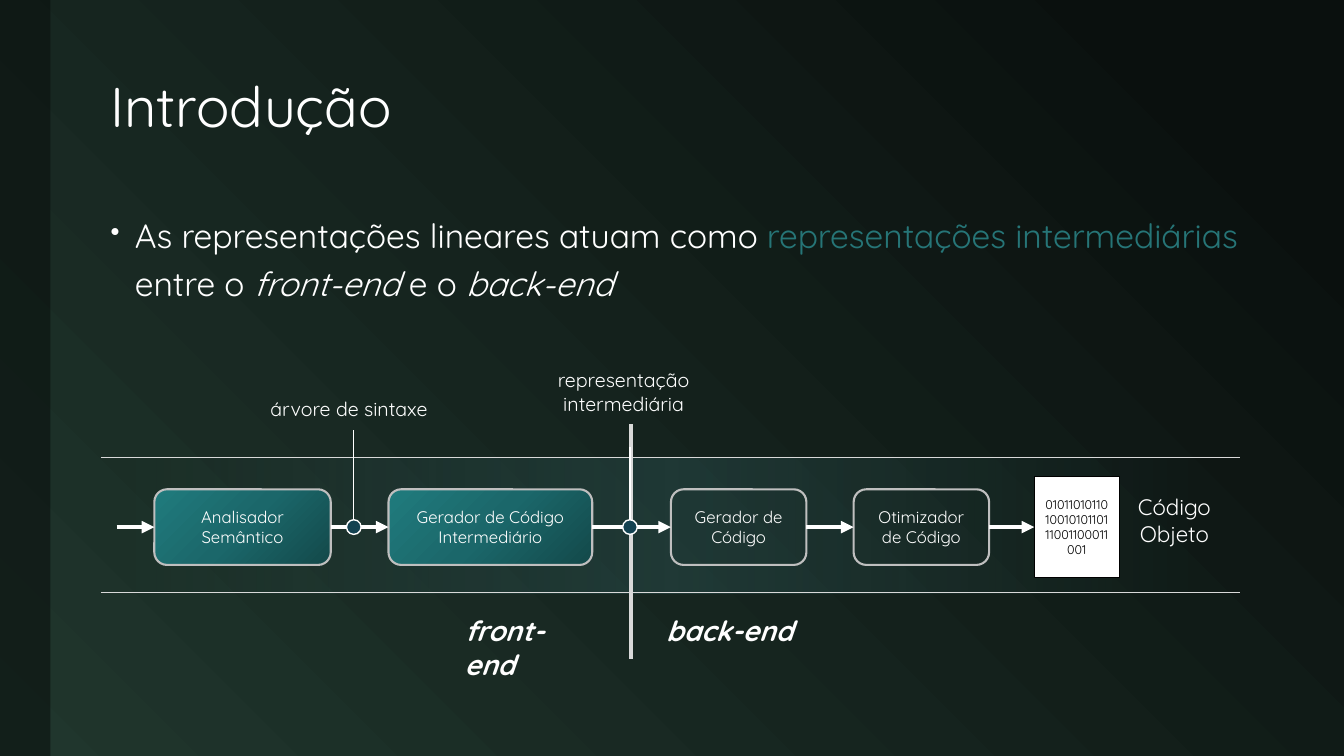
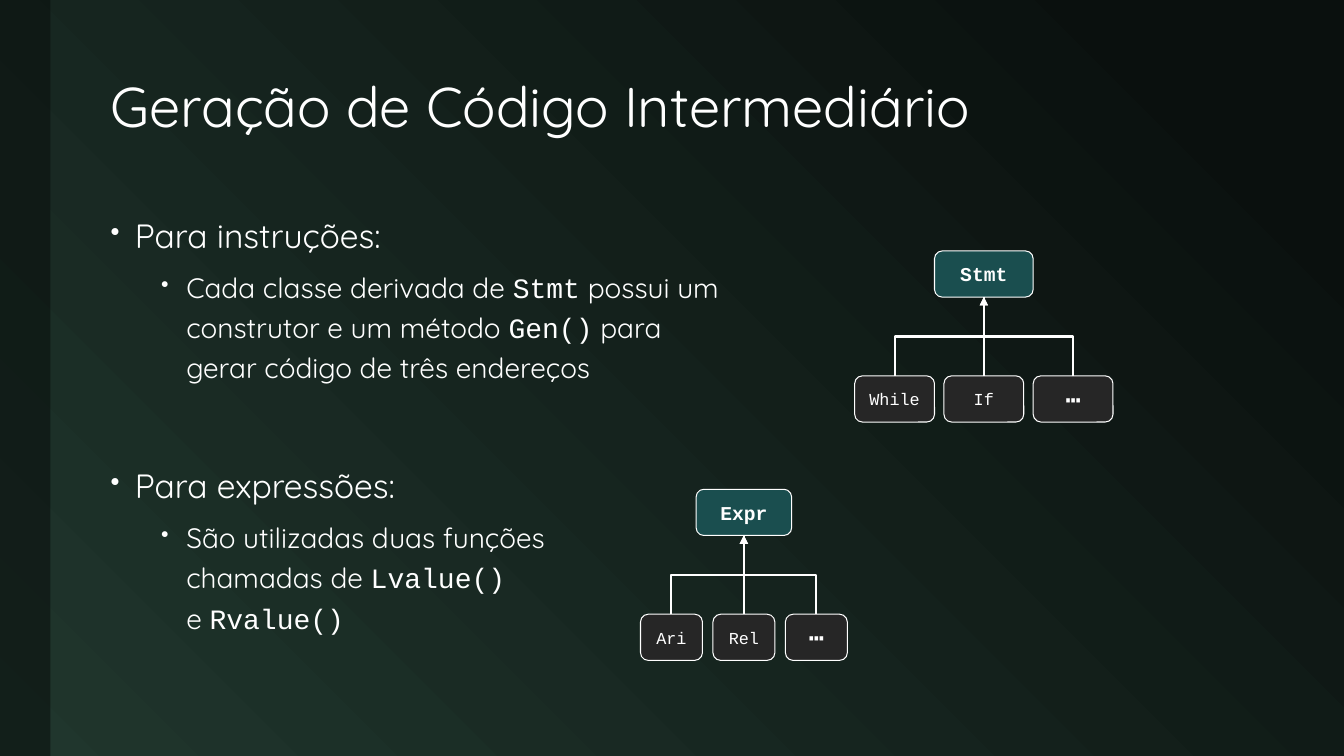
from dataclasses import dataclass

from lxml import etree
from pptx import Presentation
from pptx import util as u
from pptx.dml.color import RGBColor
from pptx.enum import shapes, text
from pptx.oxml.ns import qn

PX = 9525  # EMU in one px; the slide is 1280 x 720 px
SHAPE, LINE = shapes.MSO_SHAPE, shapes.MSO_CONNECTOR
TOP, LEFT, BOTTOM, RIGHT = range(4)  # connection sites
LEFT_AL, CENTER = text.PP_ALIGN.LEFT, text.PP_ALIGN.CENTER


@dataclass(frozen=True)
class Theme:
    font: str = "Quicksand"
    code: str = "Courier New"
    white: str = "FFFFFF"
    black: str = "000000"
    accent: str = "267577"
    strip: str = "0A100E"
    dot: str = "134251"
    parent: str = "1A4E4F"
    child: str = "262626"
    rule: str = "D9D9D9"
    edge: str = "BFBFBF"
    background: tuple = ((10, "0A100E", 100), (100, "20362D", 100))
    step: tuple = ((0, "13494A", 100), (50, "1B676A", 100), (100, "207B7D", 100))
    band: tuple = ((0, "36696B", 0), (49, "36696B", 30), (100, "36696B", 0))
    title: int = 40
    body: int = 24
    sub: int = 20
    dots: int = 18
    object: int = 16
    label: int = 14
    box: int = 12
    bits: int = 9


T = Theme()
CODE = {"name": T.code}
ITALIC = {"italic": True}


# --- Helpers ---
def px(*lengths):
    return [u.Emu(int(n * PX)) for n in lengths]


def rgb(value):
    return RGBColor.from_string(value)


def assign(obj, **values):
    for name, value in values.items():
        setattr(obj, name, value)


def add(parent, tag, **attrs):
    return etree.SubElement(parent, qn(tag), attrs)


def gradient(fill, root, stops, angle):
    """Fill with (position %, colour, opacity %) stops; angle is clockwise."""
    fill.gradient()
    fill.gradient_angle = 360 - angle
    gs_list = root.find(".//" + qn("a:gsLst"))
    for gs in list(gs_list):
        gs_list.remove(gs)
    for pos, color, opacity in stops:
        gs = add(gs_list, "a:gs", pos=str(pos * 1000))
        clr = add(gs, "a:srgbClr", val=color)
        add(clr, "a:alpha", val=str(opacity * 1000))


def add_runs(p, runs, **font):
    """Runs are strings or (string, font overrides); a newline breaks the line."""
    for run in runs:
        words, extra = (run, {}) if isinstance(run, str) else run
        fmt = {"name": T.font, "color": T.white, **font, **extra}
        color = rgb(fmt.pop("color"))
        fmt["size"] = u.Pt(fmt["size"])
        for i, piece in enumerate(words.split("\n")):
            if i:
                p.add_line_break()
            if piece:
                r = p.add_run()
                r.text = piece
                assign(r.font, **fmt)
                r.font.color.rgb = color


def label(s, x, y, w, h, words, align=LEFT_AL, **font):
    tf = s.shapes.add_textbox(*px(x, y, w, h)).text_frame
    tf.word_wrap = True
    p = tf.paragraphs[0]
    p.alignment = align
    add_runs(p, [words], **font)
    return tf


def shape(s, kind, x, y, w, h, fill=None, edge=None, weight=1, words="", **font):
    sp = s.shapes.add_shape(kind, *px(x, y, w, h))
    sp.shadow.inherit = False
    if isinstance(fill, tuple):
        gradient(sp.fill, sp._element, *fill)
    elif fill:
        sp.fill.solid()
        sp.fill.fore_color.rgb = rgb(fill)
    else:
        sp.fill.background()
    if edge:
        sp.line.color.rgb = rgb(edge)
        sp.line.width = u.Pt(weight)
    else:
        sp.line.fill.background()
    if words:
        tf = sp.text_frame
        assign(tf, word_wrap=True, vertical_anchor=text.MSO_ANCHOR.MIDDLE)
        p = tf.paragraphs[0]
        p.alignment = CENTER
        add_runs(p, [words], **font)
    return sp


def line(s, x1, y1, x2, y2, weight, color=T.white, arrow=False,
         begin=None, end=None, kind=LINE.STRAIGHT):
    """begin and end are (shape, connection site) pairs."""
    c = s.shapes.add_connector(kind, *px(x1, y1, x2, y2))
    c.line.color.rgb = rgb(color)
    c.line.width = u.Pt(weight)
    spPr = c._element.spPr
    if arrow:
        add(spPr.find(qn("a:ln")), "a:tailEnd", type="triangle")
    add(spPr, "a:effectLst")
    if begin:
        c.begin_connect(*begin)
    if end:
        c.end_connect(*end)
    return c


def elbow_up(s, child, parent):
    """Bent arrow from the top of child to the bottom of parent."""
    c = line(s, 0, 0, 0, 0, 1.5, arrow=True, begin=(child, TOP),
             end=(parent, BOTTOM), kind=LINE.ELBOW)
    x1, x2 = child.left + child.width // 2, parent.left + parent.width // 2
    y1, y2 = child.top, parent.top + parent.height
    w, h = y1 - y2, abs(x2 - x1)
    # The box is laid on its side and turned about its centre
    assign(c, left=(x1 + x2 - w) // 2, top=(y1 + y2 - h) // 2, width=w, height=h)
    rising_right = x1 < x2
    xfrm = c._element.spPr.find(qn("a:xfrm"))
    xfrm.set("rot", "5400000" if rising_right else "16200000")
    xfrm.set("flipH", "1" if rising_right else "0")
    xfrm.set("flipV", "1")


# --- Parts shared by the slides ---
def base_slide(prs, title):
    s = prs.slides.add_slide(prs.slide_layouts[6])
    gradient(s.background.fill, s._element, T.background, 135)
    strip = shape(s, SHAPE.RECTANGLE, 0, 0, 48, 720, T.strip)
    clr = strip._element.spPr.find(".//" + qn("a:srgbClr"))
    add(clr, "a:alpha", val="60000")
    tf = label(s, 96, 40, 1118, 128, title, size=T.title)
    tf.vertical_anchor = text.MSO_ANCHOR.MIDDLE
    tf.paragraphs[0].line_spacing = 0.9
    return s


def bullets(s, x, y, w, h, items):
    """Items are (level, space before in points, runs)."""
    tf = s.shapes.add_textbox(*px(x, y, w, h)).text_frame
    tf.word_wrap = True
    for i, (level, before, runs) in enumerate(items):
        p = tf.add_paragraph() if i else tf.paragraphs[0]
        assign(p, level=level, line_spacing=1.2, space_before=u.Pt(before))
        margin, hang = px(*((23, 23), (72, 24))[level])
        pPr = p._p.get_or_add_pPr()
        pPr.set("marL", str(margin))
        pPr.set("indent", str(-hang))
        add(pPr, "a:buSzPct", val="80000")
        add(pPr, "a:buChar", char="•")
        add_runs(p, runs, size=(T.body, T.sub)[level])


# --- Slide 1: compiler pipeline ---
def pipeline(s, x, y, w, h):
    rule_top, rule_bottom, mid = y + 90, y + 218, y + 156
    split = x + 505  # border between front-end and back-end

    shape(s, SHAPE.RECTANGLE, x + 23, rule_top, 1022, 129, (T.band, 180))
    line(s, split, y + 58, split, y + h, 2.25, T.rule)
    for rule_y in (rule_top, rule_bottom):
        line(s, x, rule_y, x + w, rule_y, 0.5, T.rule)

    # Steps, then the object code they lead to
    steps = [(51, 168, "Analisador\nSemântico", (T.step, 225)),
             (274, 194, "Gerador de Código Intermediário", (T.step, 225)),
             (543, 129, "Gerador de Código", None),
             (717, 129, "Otimizador de Código", None)]
    boxes = [shape(s, SHAPE.ROUNDED_RECTANGLE, x + dx, mid - 36, bw, 72, fill,
                   T.edge, 1.5, words, size=T.box)
             for dx, bw, words, fill in steps]
    boxes.append(shape(s, SHAPE.RECTANGLE, x + 889, mid - 48, 81, 96, T.white, T.black, 1,
                       "010110101101001010110111001100011001",
                       size=T.bits, color=T.black))
    line(s, x + 15, mid, x + 51, mid, 3, arrow=True, end=(boxes[0], LEFT))
    for a, b in zip(boxes, boxes[1:]):
        line(s, 0, 0, 0, 0, 3, arrow=True, begin=(a, RIGHT), end=(b, LEFT))

    # Dots on the arrows, each with a line up to its label
    for cx, start in ((x + 241, y + 64), (split - 1, y + 80)):
        dot = shape(s, SHAPE.OVAL, cx - 7, mid - 7, 14, 14, T.dot, T.white)
        line(s, cx, start, cx, mid - 7, 0.75, end=(dot, TOP))

    label(s, x + 152, y + 27, 178, 33, "árvore de sintaxe", size=T.label)
    label(s, x + 420, y, 156, 55, "representação\nintermediária", CENTER, size=T.label)
    label(s, x + 973, y + 119, 99, 61, "Código\nObjeto", CENTER, size=T.object)
    for dx, lw, words in ((337, 139, "front-end"), (529, 151, "back-end")):
        label(s, x + dx, y + 234, lw, 42, words, size=T.sub, bold=True, italic=True)


def intro_slide(prs):
    s = base_slide(prs, "Introdução")
    bullets(s, 96, 192, 1118, 464, [
        (0, 18, ["As representações lineares atuam como ",
                 ("representações intermediárias ", {"color": T.accent}),
                 "entre o ", ("front-end", ITALIC), " e o ", ("back-end", ITALIC)])])
    pipeline(s, 96, 346, 1085, 282)


# --- Slide 2: class trees ---
def class_tree(s, x, y, w, h, root, root_w, names, gap):
    """Root centred above a row of equal child boxes."""
    box_h = 44
    child_w = (w - gap * (len(names) - 1)) // len(names)
    parent = shape(s, SHAPE.ROUNDED_RECTANGLE, x + (w - root_w) / 2, y, root_w, box_h,
                   T.parent, T.white, 0.75, root, name=T.code, size=T.label, bold=True)
    children = []
    for i, name in enumerate(names):
        font = {"size": T.dots} if name == "┅" else {"size": T.box, **CODE}
        children.append(shape(s, SHAPE.ROUNDED_RECTANGLE, x + i * (child_w + gap),
                              y + h - box_h, child_w, box_h, T.child, T.white, 0.75,
                              name, **font))
    first, middle, last = children
    elbow_up(s, first, parent)
    elbow_up(s, last, parent)
    line(s, 0, 0, 0, 0, 1.5, begin=(parent, BOTTOM), end=(middle, TOP))


def generation_slide(prs):
    s = base_slide(prs, "Geração de Código Intermediário")
    bullets(s, 96, 192, 1118, 464, [
        (0, 18, ["Para instruções:"]),
        (1, 6, ["Cada classe derivada de ", ("Stmt", CODE),
                " possui um\nconstrutor e um método ", ("Gen()", CODE),
                " para\ngerar código de três endereços"]),
        (0, 52, ["Para expressões:"]),
        (1, 6, ["São utilizadas duas funções\nchamadas de ", ("Lvalue()", CODE),
                "\ne ", ("Rvalue()", CODE)])])
    class_tree(s, 814, 239, 246, 163, "Stmt", 94, ["While", "If", "┅"], 9)
    class_tree(s, 610, 466, 197, 163, "Expr", 91, ["Ari", "Rel", "┅"], 10)


def main():
    prs = Presentation()
    prs.slide_width, prs.slide_height = px(1280, 720)
    intro_slide(prs)
    generation_slide(prs)
    prs.save("out.pptx")


if __name__ == "__main__":
    main()
